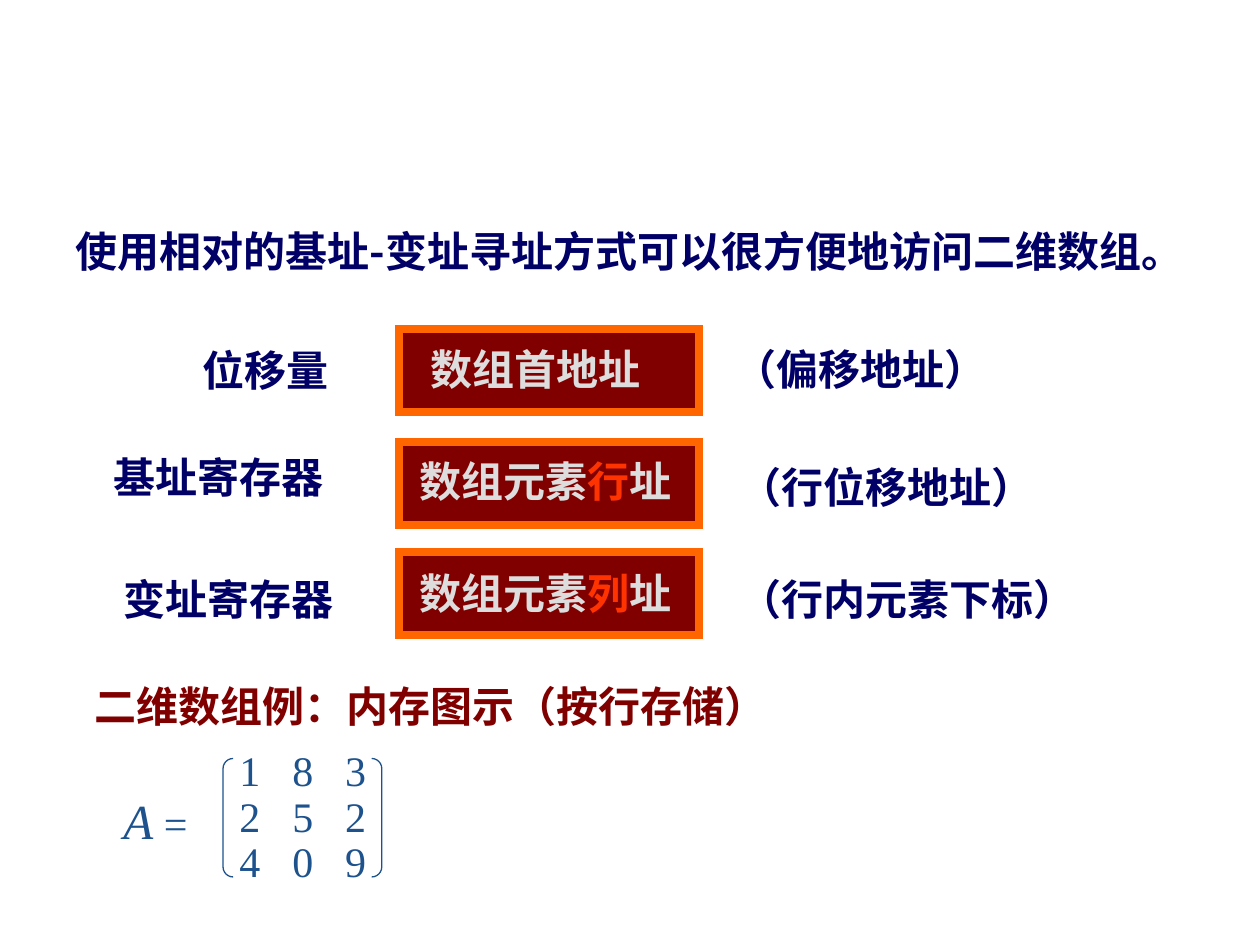
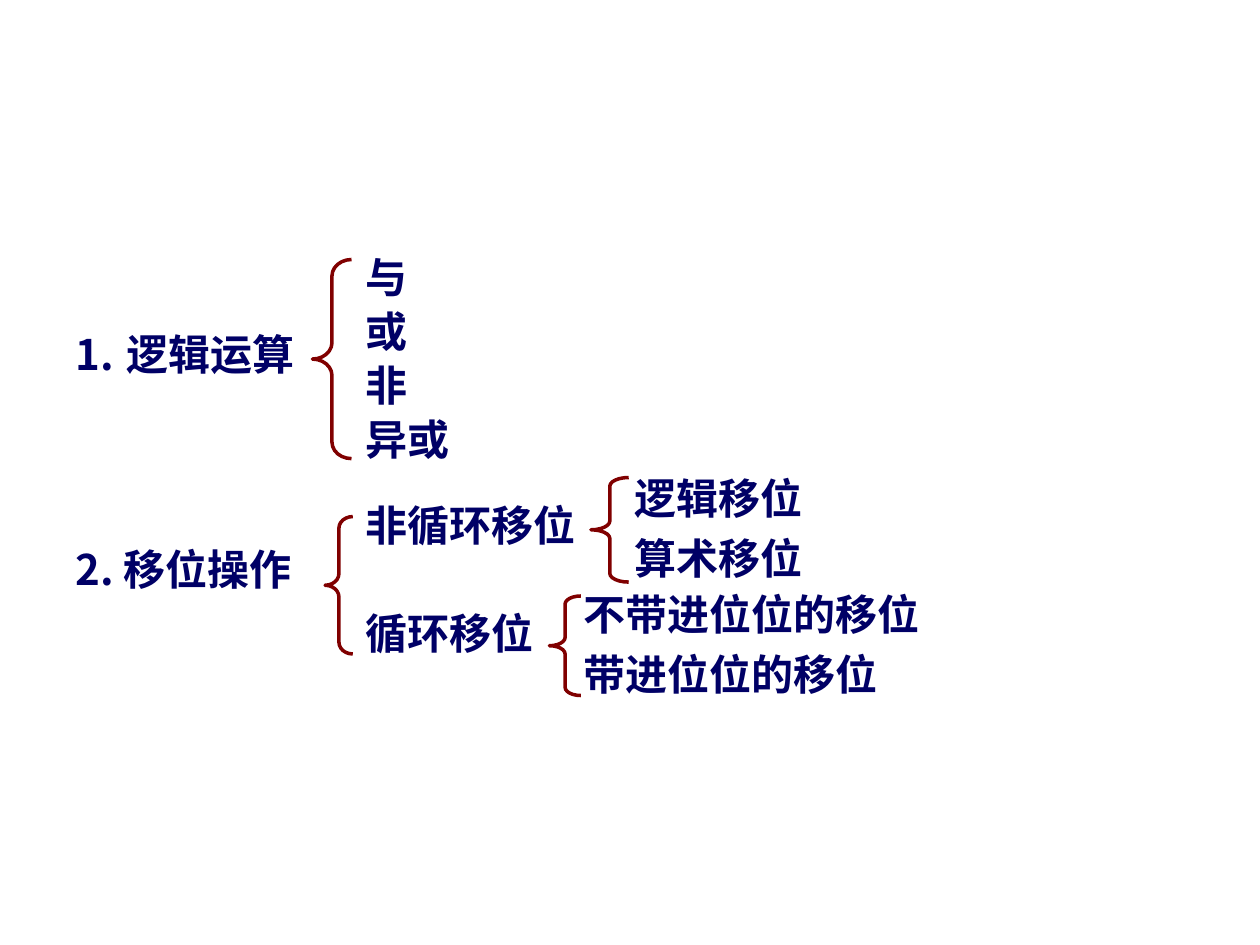
"""Build two slides on array addressing and on logic and shift operations."""
from lxml.etree import SubElement
from pptx import Presentation
from pptx.dml.color import RGBColor
from pptx.enum.shapes import MSO_SHAPE
from pptx.enum.text import MSO_ANCHOR, MSO_AUTO_SIZE
from pptx.oxml.ns import qn
from pptx.util import Inches, Pt

NAVY = RGBColor(0x00, 0x00, 0x66)
MAROON = RGBColor(0x80, 0x00, 0x00)
ORANGE = RGBColor(0xFF, 0x66, 0x00)
RED = RGBColor(0xFF, 0x33, 0x00)
PALE = RGBColor(0xDD, 0xDD, 0xDD)
BLUE = RGBColor(0x1D, 0x52, 0x8D)
SANS = "Noto Sans CJK SC"
SERIF = "Times New Roman"


def add_run(para, text, size=24, font=SANS, color=NAVY, bold=True, italic=False):
    """Add one formatted run to a paragraph."""
    run = para.add_run()
    run.text = text
    face = run.font
    face.size, face.name, face.bold, face.italic = Pt(size), font, bold, italic
    face.color.rgb = color
    SubElement(run._r.get_or_add_rPr(), qn("a:ea"), typeface=SANS)


def fill_text(frame, lines, pitch=29, gap=0, inset=0, wrap=True, **style):
    """Write lines, each a string or a list of (text, format) runs."""
    frame.auto_size = MSO_AUTO_SIZE.NONE
    frame.word_wrap = wrap
    frame.vertical_anchor = MSO_ANCHOR.TOP
    frame.margin_left = frame.margin_right = Inches(2 * inset)
    frame.margin_top = frame.margin_bottom = Inches(inset)
    for index, line in enumerate(lines):
        para = frame.paragraphs[0] if index == 0 else frame.add_paragraph()
        props = para._p.get_or_add_pPr()
        props.set("marL", "0")
        props.set("indent", "0")
        SubElement(props, qn("a:buNone"))
        para.line_spacing = Pt(pitch)
        para.space_before = Pt(gap if index else 0)
        para.space_after = Pt(0)
        runs = [(line, {})] if isinstance(line, str) else line
        for text, extra in runs:
            add_run(para, text, **{**style, **extra})


def add_text(slide, place, *lines, **style):
    """Add a text box."""
    box = slide.shapes.add_textbox(*map(Inches, place))
    fill_text(box.text_frame, lines, **style)


def add_body(slide, place, *lines, **style):
    """Move the body placeholder into place and fill it."""
    body = slide.placeholders[1]
    body.left, body.top, body.width, body.height = map(Inches, place)
    fill_text(body.text_frame, lines, pitch=34, inset=0.05, **style)


def add_form(slide, kind, place, line, width, fill=None, adjust=()):
    """Add a preset shape with an outline and an optional fill."""
    shape = slide.shapes.add_shape(kind, *map(Inches, place))
    shape.shadow.inherit = False
    shape.line.color.rgb = line
    shape.line.width = Pt(width)
    if fill is None:
        shape.fill.background()
    else:
        shape.fill.solid()
        shape.fill.fore_color.rgb = fill
        SubElement(shape._element.spPr.find(qn("a:ln")), qn("a:miter"), lim="800000")
    for index, value in enumerate(adjust):
        shape.adjustments[index] = value


def new_slide(deck):
    """Add a slide that keeps only its body placeholder."""
    slide = deck.slides.add_slide(deck.slide_layouts[1])
    title = slide.shapes.title._element
    title.getparent().remove(title)
    return slide


def add_matrix(slide):
    """Draw the sample array A, column by column, with its brackets."""
    look = dict(font=SERIF, color=BLUE, bold=False)
    for index, column in enumerate(("124", "850", "329")):
        place = (1.9 + 0.42 * index, 5.95, 0.2, 1.08)
        add_text(slide, place, *column, pitch=26, wrap=False, **look)
    for kind, left in ((MSO_SHAPE.LEFT_BRACKET, 1.77), (MSO_SHAPE.RIGHT_BRACKET, 2.95)):
        add_form(slide, kind, (left, 6.02, 0.08, 0.94), BLUE, 0.75, adjust=[1])
    name = [("A", dict(size=28, italic=True)), (" =", {})]
    add_text(slide, (0.98, 6.27, 0.59, 0.47), name, pitch=34, wrap=False, **look)


def array_slide(deck):
    """Show how base and index addressing reach a two-dimensional array."""
    slide = new_slide(deck)
    add_body(slide, (0.5, 1.67, 9.17, 0.7),
             "使用相对的基址-变址寻址方式可以很方便地访问二维数组。")
    row, column = ([("数组元素", {}), (mark, dict(color=RED)), ("址", {})] for mark in "行列")
    parts = [
        (2.61, "位移量", 1.61, 2.73, "数组首地址", 3.42, 2.72, "（偏移地址）", 5.83, 2.72),
        (3.51, "基址寄存器", 0.9, 3.58, row, 3.33, 3.61, "（行位移地址）", 5.87, 3.66),
        (4.38, "变址寄存器", 0.98, 4.55, column, 3.33, 4.5, "（行内元素下标）", 5.87, 4.55),
    ]
    for top, label, lx, ly, value, vx, vy, note, nx, ny in parts:
        add_form(slide, MSO_SHAPE.RECTANGLE, (3.17, top, 2.38, 0.66), ORANGE, 4.5, MAROON)
        add_text(slide, (lx, ly, 2.17, 0.4), label)
        add_text(slide, (vx, vy, 2.14, 0.4), value, font=SERIF, color=PALE)
        add_text(slide, (nx, ny, 3.31, 0.4), note)
    add_text(slide, (0.75, 5.4, 6.38, 0.4), "二维数组例：内存图示（按行存储）",
             font=SERIF, color=MAROON)
    add_matrix(slide)


def shift_slide(deck):
    """Show the tree of logic and shift operations."""
    slide = new_slide(deck)
    logic = [("1.", {}), (" ", dict(size=28, font=SERIF)), ("逻辑运算", {})]
    add_body(slide, (0.5, 2.5, 9.17, 4.42), logic, "2. 移位操作", gap=88)
    lists = [
        ((2.8, 1.94, 3, 1.82), ["与", "或", "非", "异或"], 29, 2),
        ((2.8, 3.91, 2.58, 1.38), ["非循环移位", "循环移位"], 29, 33),
        ((4.94, 3.66, 2.42, 1.02), ["逻辑移位", "算术移位"], 32, 2),
        ((4.53, 4.58, 3.33, 1.02), ["不带进位位的移位", "带进位位的移位"], 32, 2),
    ]
    for place, lines, pitch, gap in lists:
        add_text(slide, place, *lines, pitch=pitch, gap=gap, inset=0.05)
    braces = [
        ((2.48, 2.06, 0.31, 1.58), 0.42),
        ((2.58, 4.1, 0.22, 1.09), 0.42),
        ((4.69, 3.79, 0.3, 0.83), 0.23),
        ((4.36, 4.73, 0.25, 0.79), 0.26),
    ]
    for place, curl in braces:
        add_form(slide, MSO_SHAPE.LEFT_BRACE, place, MAROON, 2, adjust=[curl, 0.5])


def main():
    """Build and save the deck."""
    deck = Presentation()
    deck.slide_width, deck.slide_height = Inches(10), Inches(7.5)
    array_slide(deck)
    shift_slide(deck)
    deck.save("out.pptx")


if __name__ == "__main__":
    main()
